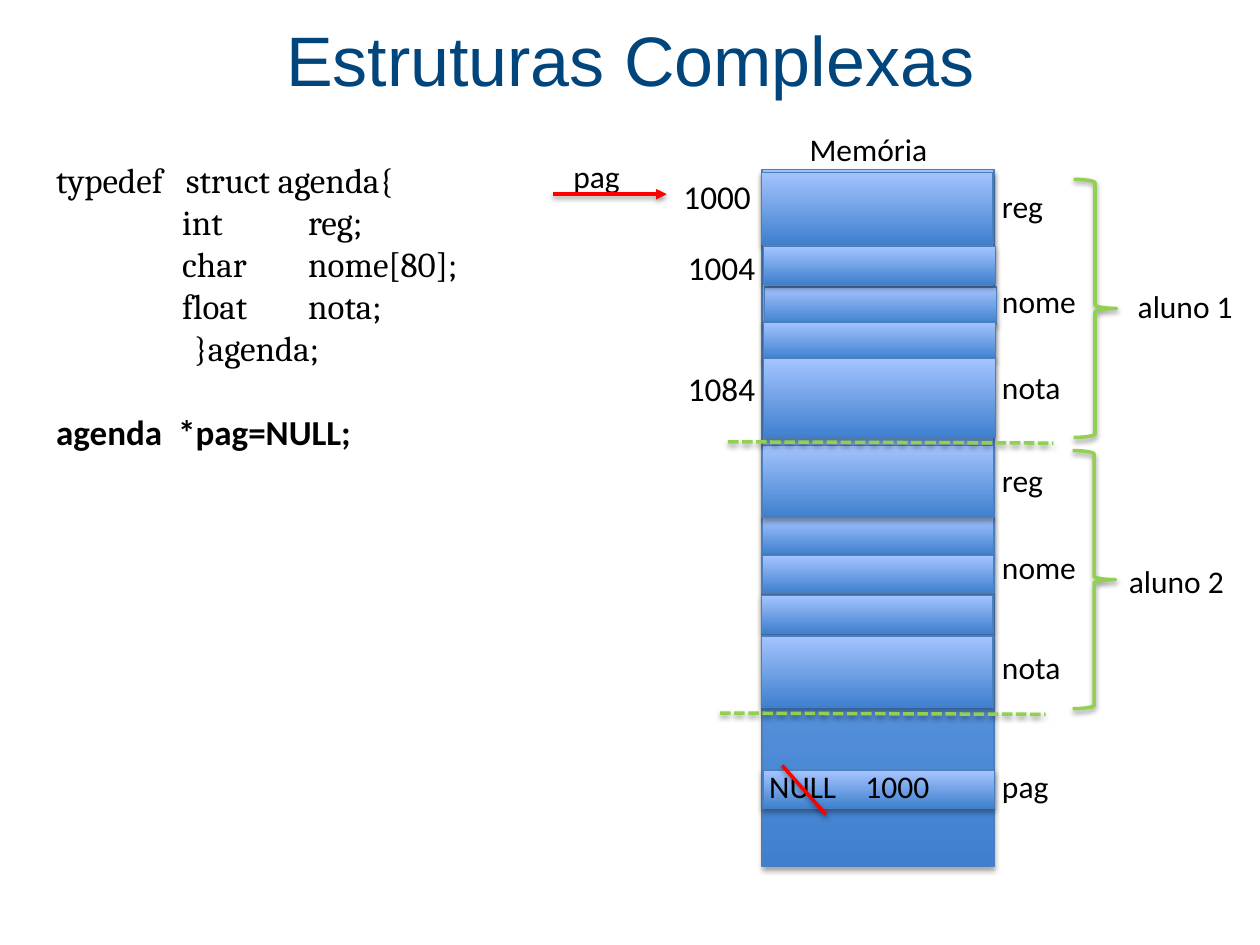
from lxml import etree
from pptx import Presentation
from pptx.dml.color import RGBColor
from pptx.enum.dml import MSO_LINE
from pptx.enum.shapes import MSO_CONNECTOR, MSO_SHAPE
from pptx.enum.text import MSO_ANCHOR, PP_ALIGN
from pptx.oxml.ns import qn
from pptx.util import Pt

DASH = MSO_LINE.SQUARE_DOT
STRAIGHT = MSO_CONNECTOR.STRAIGHT
RECTANGLE, BRACE = MSO_SHAPE.RECTANGLE, MSO_SHAPE.RIGHT_BRACE
MIDDLE, CENTER = MSO_ANCHOR.MIDDLE, PP_ALIGN.CENTER

COLORS = {
    "title": "00457C", "text": "000000", "cell_dark": "3F80CE",
    "cell_light": "A4C4FF", "cell_line": "4B7EBC",
    "green": "92D050", "red": "FF0000", "shadow": "000000",
}
CELL_WIDTH = 132.5


def rgb(name):
    return RGBColor.from_string(COLORS[name])


def add_shadow(shape, alpha=38, distance=1.6):
    """Give a shape or connector a soft shadow straight below it."""
    properties = shape._element.spPr
    for old in properties.findall(qn("a:effectLst")):
        properties.remove(old)
    effects = etree.SubElement(properties, qn("a:effectLst"))
    shadow = etree.SubElement(
        effects, qn("a:outerShdw"), blurRad=str(Pt(3.1)),
        dist=str(Pt(distance)), dir="5400000", rotWithShape="0")
    color = etree.SubElement(shadow, qn("a:srgbClr"), val=COLORS["shadow"])
    etree.SubElement(color, qn("a:alpha"), val=str(alpha * 1000))


def set_font(paragraph, size, name="Calibri", color="text", bold=False):
    font = paragraph.font
    font.size, font.name, font.bold = Pt(size), name, bold
    font.color.rgb = rgb(color)


def add_frame(slide, left, top, width, height):
    box = slide.shapes.add_textbox(Pt(left), Pt(top), Pt(width), Pt(height))
    box.text_frame.word_wrap = True
    return box.text_frame


def add_label(slide, text, left, top, size=18, width=72):
    paragraph = add_frame(slide, left, top, width, 29).paragraphs[0]
    paragraph.text = text
    set_font(paragraph, size)


def add_line(slide, start, end, color, dashed=False, arrow=False):
    line = slide.shapes.add_connector(
        STRAIGHT, Pt(start[0]), Pt(start[1]), Pt(end[0]), Pt(end[1]))
    line.line.color.rgb = rgb(color)
    line.line.width = Pt(2)
    if dashed:
        line.line.dash_style = DASH
    if arrow:
        etree.SubElement(line.line._get_or_add_ln(), qn("a:tailEnd"), type="triangle")
    add_shadow(line)


def add_cell(slide, left, top, height):
    cell = slide.shapes.add_shape(
        RECTANGLE, Pt(left), Pt(top), Pt(CELL_WIDTH), Pt(height))
    cell.fill.gradient()
    cell.fill.gradient_angle = 90
    for stop, (position, name) in zip(
            cell.fill.gradient_stops, ((0, "cell_dark"), (1, "cell_light"))):
        stop.position = position
        stop.color.rgb = rgb(name)
    cell.line.color.rgb = rgb("cell_line")
    cell.line.width = Pt(0.75)
    add_shadow(cell, 35, 1.8)


def add_title(slide, left, top, width, height):
    frame = add_frame(slide, left, top, width, height)
    frame.vertical_anchor = MIDDLE
    paragraph = frame.paragraphs[0]
    paragraph.text = "Estruturas Complexas"
    paragraph.alignment = CENTER
    set_font(paragraph, 40, "Arial", "title")


def add_code(slide, left, top, width, height):
    """The struct definition; tab stops line up the field names."""
    lines = [
        ("typedef   struct agenda{", 0), ("int\t\treg;", 72),
        ("char\tnome[80];", 72), ("float\tnota;", 72),
        ("}agenda;", 79), ("agenda  *pag=NULL;", 0),
    ]
    frame = add_frame(slide, left, top, width, height)
    for index, (text, indent) in enumerate(lines):
        paragraph = frame.paragraphs[0] if index == 0 else frame.add_paragraph()
        paragraph.text = text
        paragraph.line_spacing = Pt(24)
        declaration = index == len(lines) - 1
        if declaration:
            paragraph.space_before = Pt(24)
        set_font(paragraph, 20, "Calibri" if declaration else "Cambria",
                 bold=declaration)
        properties = paragraph._p.get_or_add_pPr()
        properties.set("marL", "0")
        properties.set("indent", str(Pt(indent)))
        if "\t" in text:
            tabs = etree.SubElement(properties, qn("a:tabLst"))
            for position in (114.5, 150.5):
                etree.SubElement(tabs, qn("a:tab"), pos=str(Pt(position)), algn="l")
            # tab stops come before the default run properties
            properties.find(qn("a:defRPr")).addprevious(tabs)


def add_memory(slide, left, top, height):
    """The memory column with its cells, offsets given from its corner."""
    add_label(slide, "Memória", left + 20, top - 26.5, width=110)
    add_cell(slide, left, top, height)
    cells = [
        (1.5, 67, 21.5), (-0.5, 1.5, 41), (1, 87, 21.5), (1, 108, 45),
        (1, 44, 21.5), (0, 198.5, 21.5), (0, 220.5, 21.5),
        (-0.5, 243.5, 21.5), (0.5, 343.5, 21.5),
        (0, 157.5, 41), (-0.5, 266.5, 41),
    ]
    for x, y, cell_height in cells:
        add_cell(slide, left + x, top + y, cell_height)
    # Field names on the right
    for text, y in (("reg", 6.5), ("nome", 60.5), ("nota", 110), ("reg", 163),
                    ("nome", 212.5), ("nota", 270), ("pag", 338)):
        add_label(slide, text, left + 130, top + y)
    # Addresses on the left
    for text, x, y in (("1000", -52, 0), ("1004", -49.5, 41), ("1084", -49.5, 110)):
        add_label(slide, text, left + x, top + y, 19, 61)
    # Pointer value, old and new
    add_label(slide, "NULL", left - 3, top + 338)
    add_label(slide, "1000", left + 52, top + 338)
    add_line(slide, (left + 11.5, top + 340.5), (left + 36.5, top + 368.5), "red")


def add_student(slide, text, left, top, text_left, text_top, line_left):
    """A brace round one record, its name and the dashed line that ends it."""
    brace = slide.shapes.add_shape(BRACE, Pt(left), Pt(top), Pt(24.5), Pt(147.5))
    brace.fill.background()
    brace.line.color.rgb = rgb("green")
    brace.line.width = Pt(2)
    add_shadow(brace)
    add_label(slide, text, text_left, text_top, width=76)
    line_top = top + 149.5
    add_line(slide, (line_left, line_top + 0.5), (line_left + 186, line_top + 1.2),
             "green", dashed=True)


def add_pointer(slide, left, top, width):
    add_label(slide, "pag", left + 4.5, top - 25)
    add_line(slide, (left, top), (left + width, top), "red", arrow=True)


def main():
    presentation = Presentation()
    presentation.slide_width, presentation.slide_height = Pt(720), Pt(540)
    slide = presentation.slides.add_slide(presentation.slide_layouts[6])
    add_title(slide, 25, 2, 670, 63)
    add_code(slide, 25, 87, 384, 388)
    add_memory(slide, 435.5, 97, 398)
    add_student(slide, "aluno 1", 613.5, 102.5, 643, 160.5, 416)
    add_student(slide, "aluno 2", 613, 257.5, 638, 317.5, 411.5)
    add_pointer(slide, 316, 111, 65)
    presentation.save("out.pptx")


if __name__ == "__main__":
    main()
